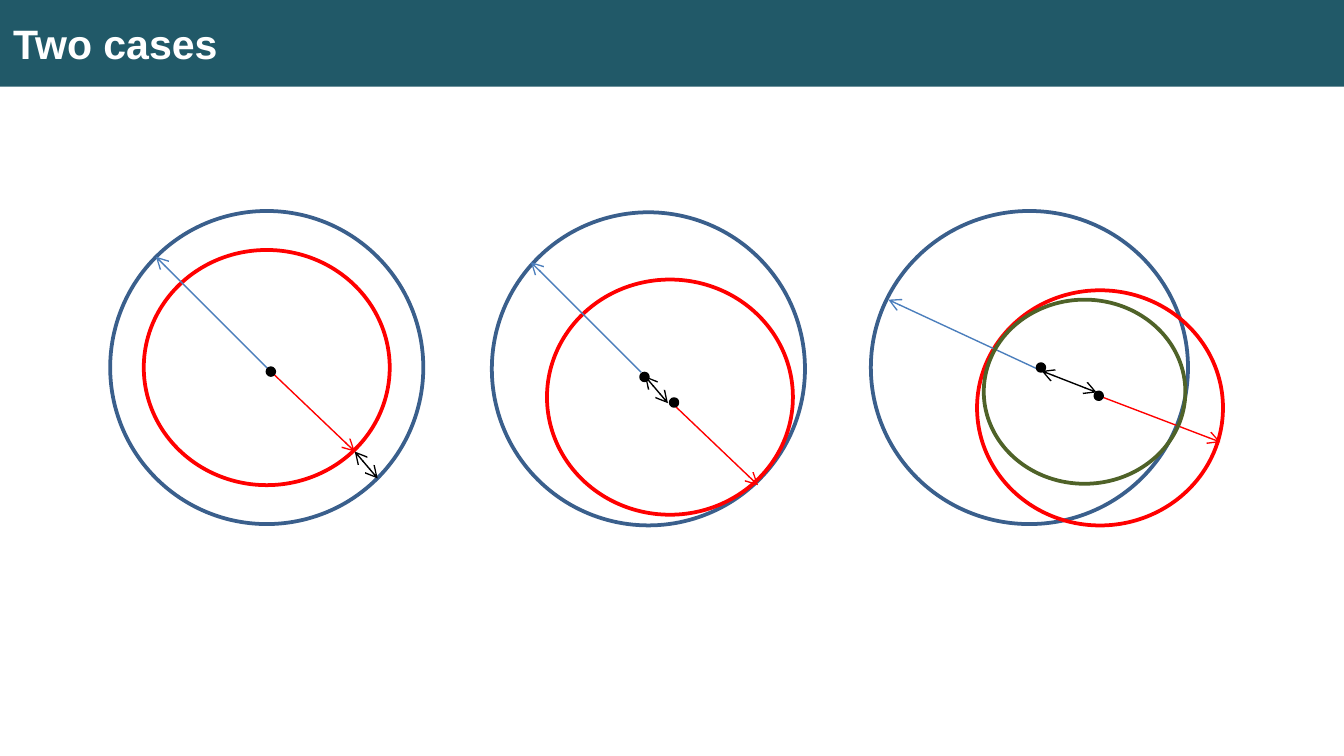
"""Builds a slide that compares how two circles can lie to each other."""
from dataclasses import dataclass
from typing import Optional

from lxml import etree
from pptx import Presentation
from pptx.dml.color import RGBColor
from pptx.enum.shapes import MSO_CONNECTOR, MSO_SHAPE
from pptx.enum.text import MSO_ANCHOR, PP_ALIGN
from pptx.oxml.ns import qn
from pptx.shapes.autoshape import Shape
from pptx.shapes.shapetree import SlideShapes
from pptx.util import Inches, Length, Pt

OVAL, RECT = MSO_SHAPE.OVAL, MSO_SHAPE.RECTANGLE
LINE = MSO_CONNECTOR.STRAIGHT
LEFT, MIDDLE = PP_ALIGN.LEFT, MSO_ANCHOR.MIDDLE


@dataclass(frozen=True)
class Theme:
    font: str = "Arial"
    title: float = 22
    thick: float = 2
    thin: float = 0.75
    bar: str = "215968"
    text: str = "FFFFFF"
    outer: str = "3A5F8C"
    inner: str = "FF0000"
    core: str = "4F6228"
    ray: str = "4B7EBC"
    ink: str = "000000"


@dataclass(frozen=True)
class Ring:
    col: float
    row: float
    wide: float
    high: float
    tint: str
    fill: Optional[str] = None


@dataclass(frozen=True)
class Arrow:
    start: tuple[float, float]
    end: tuple[float, float]
    tint: str
    both: bool = False


THEME = Theme()
WIDE = Inches(10)
HIGH = Length(WIDE * 9 // 16)
COLS, ROWS = 100, 56.25
BAR = 6.45
BIG, SMALL, DOT = 23.3, (18.3, 17.5), 0.5

RINGS = (
    Ring(8.2, 15.7, BIG, BIG, THEME.outer),
    Ring(10.7, 18.6, *SMALL, THEME.inner),
    Ring(36.6, 15.8, BIG, BIG, THEME.outer),
    Ring(40.7, 20.8, *SMALL, THEME.inner),
    Ring(64.8, 15.7, 23.6, BIG, THEME.outer),
    Ring(72.7, 21.6, *SMALL, THEME.inner),
)
ARROWS = (
    Arrow((19.9, 27.4), (11.6, 19.1), THEME.ray),
    Arrow((19.9, 27.4), (26.4, 33.6), THEME.inner),
    Arrow((26.4, 33.6), (28.1, 35.6), THEME.ink, True),
    Arrow((47.7, 27.7), (39.5, 19.5), THEME.ray),
    Arrow((49.9, 29.9), (56.4, 36.1), THEME.inner),
    Arrow((48, 28), (49.7, 30), THEME.ink, True),
    Arrow((77.5, 27.6), (66.1, 22.3), THEME.ray),
    Arrow((81.9, 29.5), (90.8, 32.9), THEME.inner),
    Arrow((77.5, 27.6), (81.6, 29.2), THEME.ink, True),
)
SPOTS = ((19.9, 27.4), (47.7, 27.8), (49.9, 29.7), (77.2, 27.1), (81.5, 29.2))
DOTS = tuple(Ring(*spot, DOT, DOT, THEME.ink, THEME.ink) for spot in SPOTS)
CORE = Ring(73.2, 22.3, 15, 13.7, THEME.core)


def across(cols: float) -> Length:
    """Turn grid columns into a length."""
    return Length(round(WIDE * cols / COLS))


def down(rows: float) -> Length:
    """Turn grid rows into a length."""
    return Length(round(HIGH * rows / ROWS))


def rgb(tint: str) -> RGBColor:
    """Turn a hex string into a colour."""
    return RGBColor.from_string(tint)


def paint(shape: Shape, tint: Optional[str]) -> None:
    """Fill a shape, or leave it open, and drop its shadow."""
    shape.shadow.inherit = False
    if tint is None:
        shape.fill.background()
    else:
        shape.fill.solid()
        shape.fill.fore_color.rgb = rgb(tint)


def draw_title(shapes: SlideShapes, text: str) -> None:
    """Draw the title bar across the top."""
    bar = shapes.add_shape(RECT, 0, 0, across(COLS), down(BAR))
    paint(bar, THEME.bar)
    bar.line.fill.background()
    frame = bar.text_frame
    frame.word_wrap = True
    frame.vertical_anchor = MIDDLE
    par = frame.paragraphs[0]
    par.text = text
    par.alignment = LEFT
    par.font.name = THEME.font
    par.font.size = Pt(THEME.title)
    par.font.bold = True
    par.font.color.rgb = rgb(THEME.text)


def draw_ring(shapes: SlideShapes, ring: Ring) -> None:
    """Draw one circle or dot."""
    oval = shapes.add_shape(OVAL, across(ring.col), down(ring.row),
                            across(ring.wide), down(ring.high))
    paint(oval, ring.fill)
    oval.line.color.rgb = rgb(ring.tint)
    oval.line.width = Pt(THEME.thick)


def draw_arrow(shapes: SlideShapes, arrow: Arrow) -> None:
    """Draw a thin line with one or two open arrowheads."""
    (col, row), (far, low) = arrow.start, arrow.end
    link = shapes.add_connector(LINE, across(col), down(row),
                                across(far), down(low))
    link.line.color.rgb = rgb(arrow.tint)
    link.line.width = Pt(THEME.thin)
    props = link.element.spPr
    ends = ("a:headEnd", "a:tailEnd") if arrow.both else ("a:tailEnd",)
    for end in ends:
        etree.SubElement(props.find(qn("a:ln")), qn(end), type="arrow")
    etree.SubElement(props, qn("a:effectLst"))


def main() -> None:
    """Build and save the slide."""
    deck = Presentation()
    deck.slide_width, deck.slide_height = WIDE, HIGH
    shapes = deck.slides.add_slide(deck.slide_layouts[6]).shapes
    draw_title(shapes, "Two cases")
    for ring in RINGS:
        draw_ring(shapes, ring)
    for arrow in ARROWS:
        draw_arrow(shapes, arrow)
    for ring in (*DOTS, CORE):
        draw_ring(shapes, ring)
    deck.save("out.pptx")


if __name__ == "__main__":
    main()
